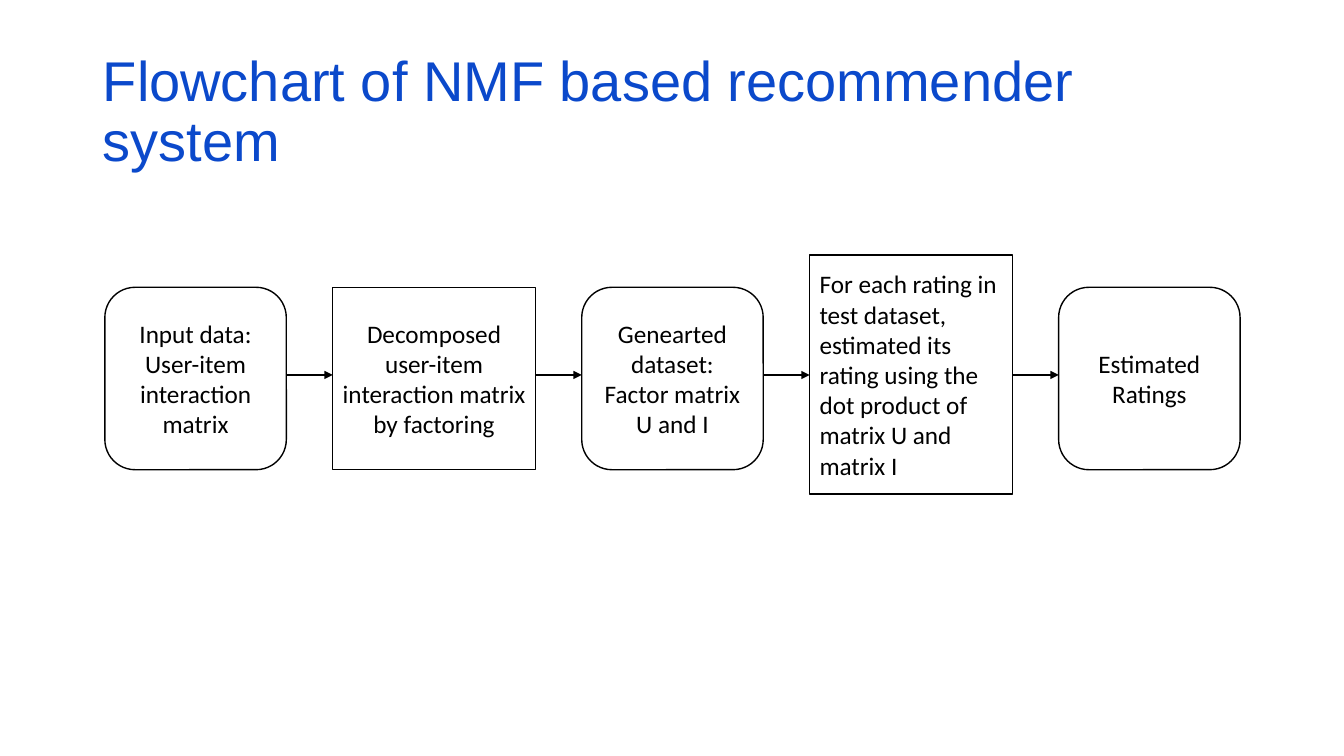
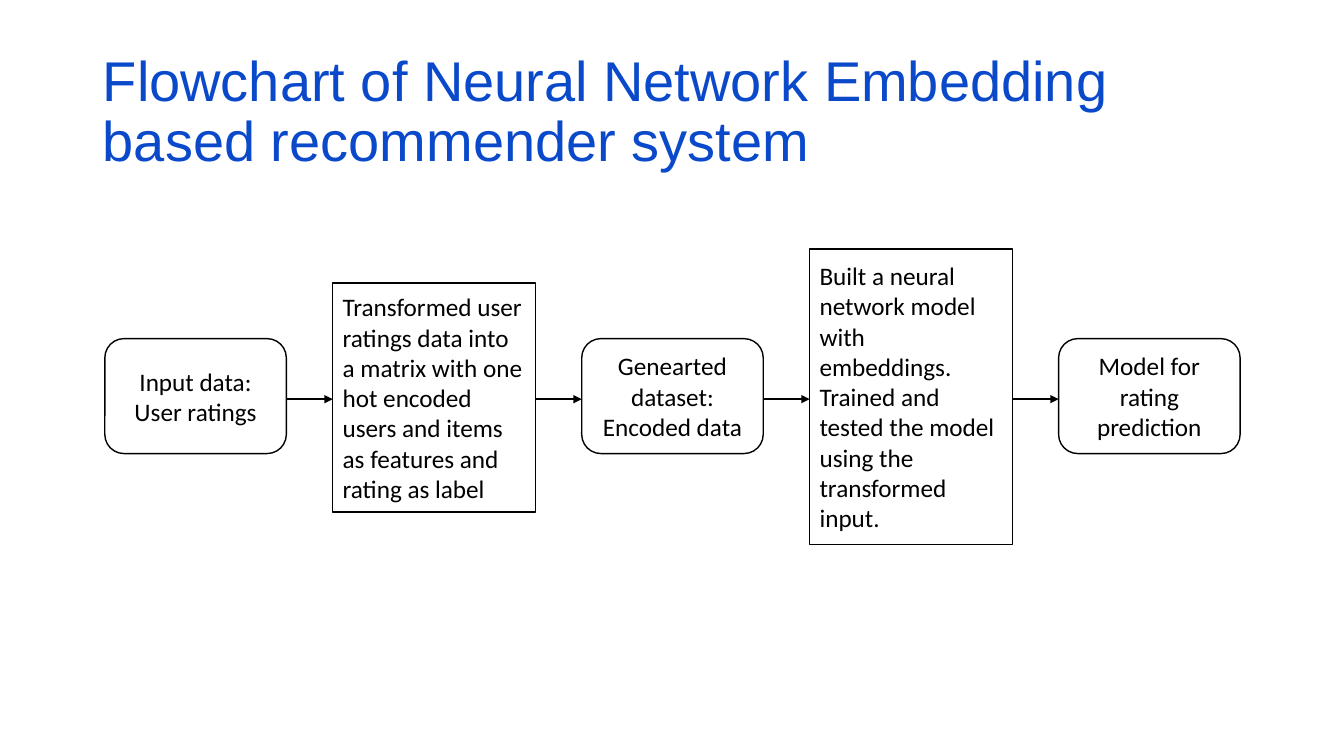
from dataclasses import dataclass

from lxml.etree import SubElement
from pptx import Presentation
from pptx.dml.color import RGBColor
from pptx.enum.shapes import MSO_CONNECTOR, MSO_SHAPE
from pptx.enum.text import MSO_ANCHOR, PP_ALIGN
from pptx.oxml.ns import qn
from pptx.util import Inches, Pt


@dataclass(frozen=True)
class Theme:
    title_color: RGBColor = RGBColor(0x0B, 0x49, 0xCB)
    ink: RGBColor = RGBColor(0, 0, 0)
    paper: RGBColor = RGBColor(255, 255, 255)
    title_font: str = "Arial"
    body_font: str = "Calibri"
    title_size: int = 40
    body_size: int = 18
    outline: float = 1
    arrow: float = 1.25


THEME = Theme()
TITLE_BOX = (0.92, 0.4, 11.5, 1.45)
FLOW_LEFT, GAP = 1.04, 0.46
LEFT, CENTER = PP_ALIGN.LEFT, PP_ALIGN.CENTER

# Each kind of step: preset shape, width, filled
DATA = (MSO_SHAPE.ROUNDED_RECTANGLE, 1.8, False)
PROCESS = (MSO_SHAPE.RECTANGLE, 2.01, True)

# Each step: kind, top, height, alignment, text
FLOWCHARTS = [
    {
        "title": "Flowchart of NMF based recommender system",
        "arrow_y": 3.72,
        "steps": [
            (DATA, 2.85, 1.81, CENTER, "Input data:\nUser-item interaction matrix"),
            (PROCESS, 2.85, 1.81, CENTER,
             "Decomposed user-item interaction matrix by factoring"),
            (DATA, 2.85, 1.81, CENTER, "Genearted dataset:\nFactor matrix U and I"),
            (PROCESS, 2.53, 2.37, LEFT,
             "For each rating in test dataset, estimated its rating using "
             "the dot product of matrix U and matrix I"),
            (DATA, 2.85, 1.81, CENTER, "Estimated Ratings"),
        ],
    },
    {
        "title": "Flowchart of Neural Network Embedding based recommender system",
        "arrow_y": 3.96,
        "steps": [
            (DATA, 3.36, 1.14, CENTER, "Input data:\nUser ratings"),
            (PROCESS, 2.81, 2.27, LEFT,
             "Transformed user ratings data into a matrix with one hot encoded "
             "users and items as features and rating as label"),
            (DATA, 3.36, 1.14, CENTER, "Genearted dataset: Encoded data"),
            (PROCESS, 2.47, 2.93, LEFT,
             "Built a neural network model with embeddings.\n"
             "Trained and tested the model using the transformed input."),
            (DATA, 3.36, 1.14, CENTER, "Model for rating prediction"),
        ],
    },
]


def write(text_frame, text, font_name, size, color, alignment, line_spacing=None):
    text_frame.text = text
    text_frame.word_wrap = True
    text_frame.vertical_anchor = MSO_ANCHOR.MIDDLE
    for paragraph in text_frame.paragraphs:
        paragraph.alignment = alignment
        paragraph.line_spacing = line_spacing
        for run in paragraph.runs:
            run.font.name = font_name
            run.font.size = Pt(size)
            run.font.color.rgb = color


def add_step(slide, left, step):
    (preset, width, filled), top, height, alignment, text = step
    shape = slide.shapes.add_shape(
        preset, *map(Inches, (left, top, width, height)))
    shape.shadow.inherit = False
    if filled:
        shape.fill.solid()
        shape.fill.fore_color.rgb = THEME.paper
    else:
        shape.fill.background()
    shape.line.color.rgb = THEME.ink
    shape.line.width = Pt(THEME.outline)
    write(shape.text_frame, text, THEME.body_font, THEME.body_size,
          THEME.ink, alignment)


def add_arrow(slide, start, end, y):
    arrow = slide.shapes.add_connector(
        MSO_CONNECTOR.STRAIGHT, *map(Inches, (start, y, end, y)))
    arrow.line.color.rgb = THEME.ink
    arrow.line.width = Pt(THEME.arrow)
    SubElement(arrow.line._get_or_add_ln(), qn("a:tailEnd"), type="triangle")
    SubElement(arrow._element.spPr, qn("a:effectLst"))


def add_flowchart(presentation, layout, flowchart):
    slide = presentation.slides.add_slide(layout)
    write(slide.shapes.title.text_frame, flowchart["title"], THEME.title_font,
          THEME.title_size, THEME.title_color, LEFT, line_spacing=0.9)
    left = FLOW_LEFT
    for index, step in enumerate(flowchart["steps"]):
        if index:
            add_arrow(slide, left - GAP, left, flowchart["arrow_y"])
        add_step(slide, left, step)
        left += step[0][1] + GAP


def main():
    presentation = Presentation()
    presentation.slide_width = Inches(13.33)
    presentation.slide_height = Inches(7.5)
    layout = presentation.slide_layouts.get_by_name("Title Only")
    title = layout.placeholders[0]
    title.left, title.top, title.width, title.height = map(Inches, TITLE_BOX)
    for flowchart in FLOWCHARTS:
        add_flowchart(presentation, layout, flowchart)
    presentation.save("out.pptx")


if __name__ == "__main__":
    main()
